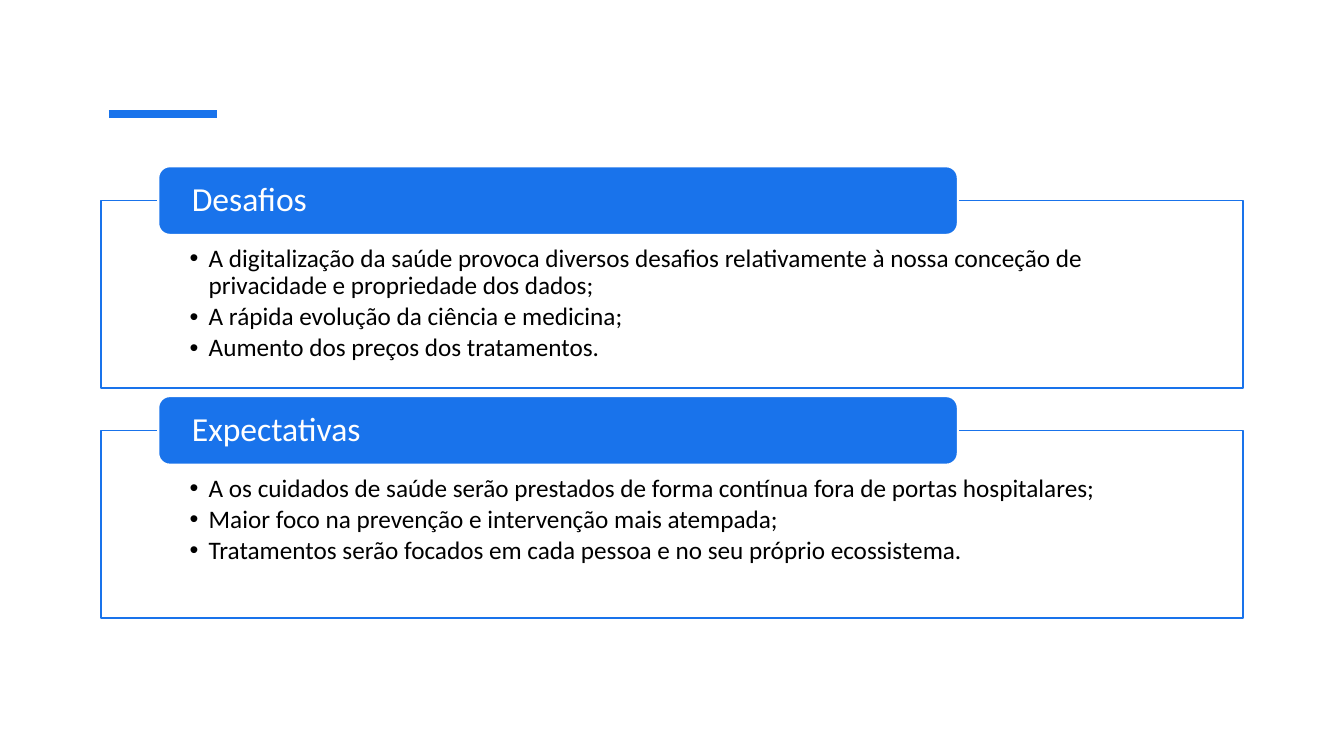
from lxml import etree
from pptx import Presentation
from pptx.dml.color import RGBColor
from pptx.enum.shapes import MSO_CONNECTOR as Connector, MSO_SHAPE as Shape
from pptx.enum.text import MSO_ANCHOR as Anchor, MSO_AUTO_SIZE as AutoSize, PP_ALIGN as Align
from pptx.oxml.ns import qn
from pptx.util import Inches, Pt

COLORS = {"accent": "1973EB", "paper": "FFFFFF", "ink": "000000"}
FONT = "Calibri"

# Layout in inches: one section per row
FRAME_LEFT, FRAME_TOP, FRAME_WIDTH, FRAME_HEIGHT = 1, 1.99, 11.33, 1.86
HEADER_LEFT, HEADER_WIDTH, HEADER_HEIGHT = 1.57, 7.93, 0.68
ROW_PITCH = 2.28

SECTIONS = [
    ("Desafios", [
        "A digitalização da saúde provoca diversos desafios relativamente à nossa "
        "conceção de privacidade e propriedade dos dados;",
        "A rápida evolução da ciência e medicina;",
        "Aumento dos preços dos tratamentos.",
    ]),
    ("Expectativas", [
        "A os cuidados de saúde serão prestados de forma contínua fora de portas hospitalares;",
        "Maior foco na prevenção e intervenção mais atempada;",
        "Tratamentos serão focados em cada pessoa e no seu próprio ecossistema.",
    ]),
]


def color(name):
    return RGBColor.from_string(COLORS[name])


def place(box, left, top, width, height):
    box.left, box.top = Inches(left), Inches(top)
    box.width, box.height = Inches(width), Inches(height)


def paint(box, fill, line, weight):
    box.fill.solid()
    box.fill.fore_color.rgb = color(fill)
    box.line.color.rgb = color(line)
    box.line.width = Pt(weight)


def set_insets(frame, side, top, bottom):
    frame.word_wrap = True
    frame.auto_size = AutoSize.NONE
    frame.margin_left = frame.margin_right = Inches(side)
    frame.margin_top, frame.margin_bottom = Inches(top), Inches(bottom)


def format_para(para, size, ink):
    para.alignment = Align.LEFT
    para.line_spacing = 0.9
    para.space_before = Pt(0)
    para.font.name = FONT
    para.font.size = Pt(size)
    para.font.color.rgb = color(ink)


def add_bullet(para, indent):
    props = para._p.get_or_add_pPr()
    props.set("marL", str(Inches(indent)))
    props.set("indent", str(-Inches(indent)))
    bullet = etree.Element(qn("a:buChar"), char="•")
    props.find(qn("a:defRPr")).addprevious(bullet)


def fill_list(body, items, top):
    """Outlined frame holding a bulleted list."""
    place(body, FRAME_LEFT, top, FRAME_WIDTH, FRAME_HEIGHT)
    paint(body, "paper", "accent", 1)
    frame = body.text_frame
    set_insets(frame, 0.88, 0.45, 0.14)
    frame.vertical_anchor = Anchor.TOP
    frame.text = "\n".join(items)
    for para in frame.paragraphs:
        format_para(para, 18, "ink")
        para.space_after = Pt(2.7)
        add_bullet(para, 0.19)


def add_header(page, text, frame_top):
    """Rounded label centred on the top edge of its frame."""
    header = page.shapes.add_shape(
        Shape.ROUNDED_RECTANGLE, Inches(HEADER_LEFT), Inches(frame_top - HEADER_HEIGHT / 2),
        Inches(HEADER_WIDTH), Inches(HEADER_HEIGHT))
    header.shadow.inherit = False
    paint(header, "accent", "paper", 1.5)
    frame = header.text_frame
    set_insets(frame, 0.3, 0, 0)
    frame.vertical_anchor = Anchor.MIDDLE
    frame.text = text
    format_para(frame.paragraphs[0], 24, "paper")


def add_accent_line(page, left, right, top):
    line = page.shapes.add_connector(
        Connector.STRAIGHT, Inches(left), Inches(top), Inches(right), Inches(top))
    line.line.color.rgb = color("accent")
    line.line.width = Pt(6)
    etree.SubElement(line._element.spPr, qn("a:effectLst"))


def main():
    deck = Presentation()
    deck.slide_width, deck.slide_height = Inches(13.33), Inches(7.5)
    page = deck.slides.add_slide(deck.slide_layouts.get_by_name("Two Content"))

    # The slide has no title; its two bodies hold the lists
    title, *bodies = list(page.placeholders)[:3]
    for unused in [title, *list(page.placeholders)[3:]]:
        unused._element.getparent().remove(unused._element)

    add_accent_line(page, 1.08, 2.15, 1.13)
    for row, (body, (heading, items)) in enumerate(zip(bodies, SECTIONS)):
        top = FRAME_TOP + row * ROW_PITCH
        fill_list(body, items, top)
        add_header(page, heading, top)

    deck.save("out.pptx")


if __name__ == "__main__":
    main()
